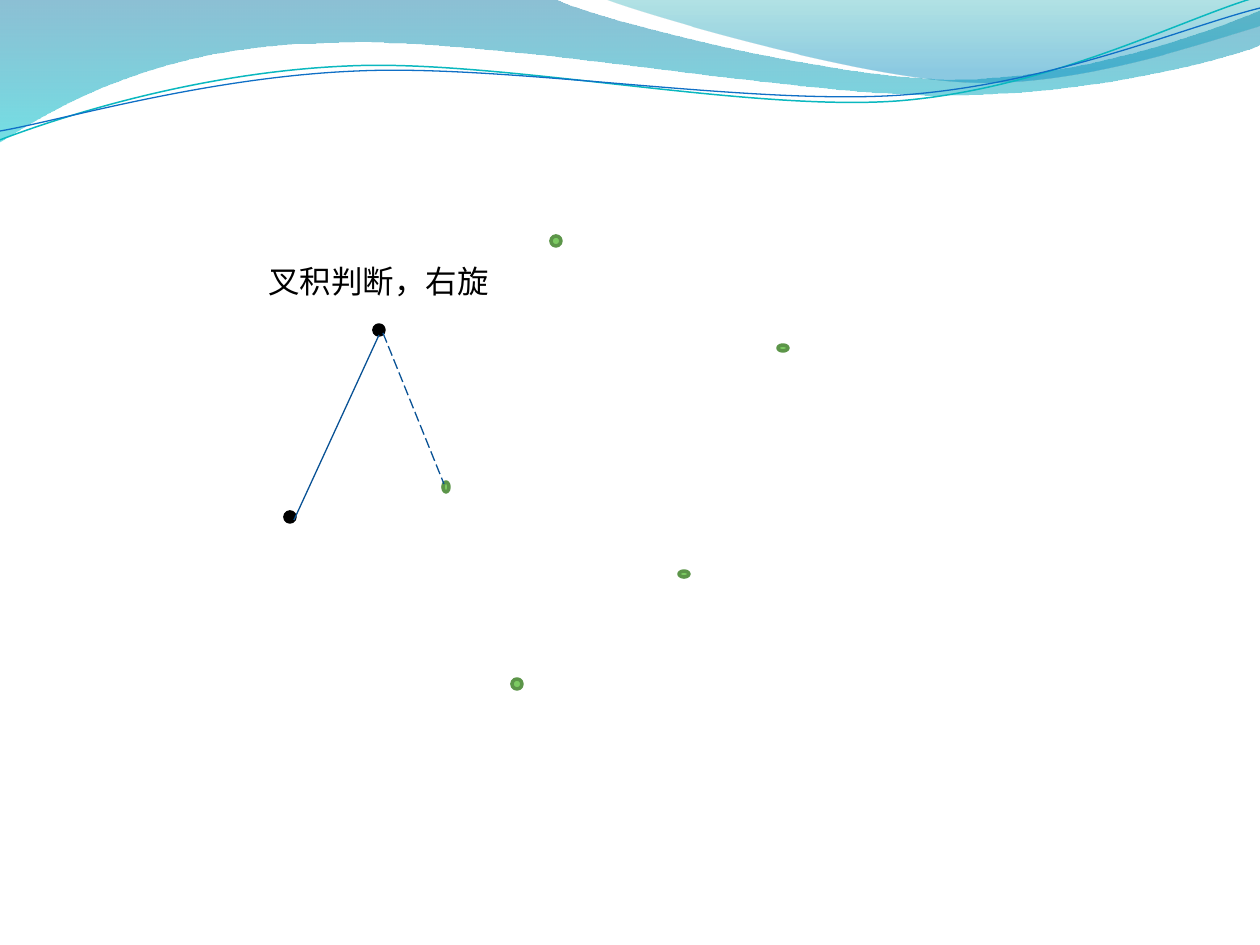
"""Build a slide on a convex hull step: points, two edges and a wave header."""
import math

import pptx
import pptx.dml.color
import pptx.enum.dml
import pptx.enum.shapes
import pptx.enum.text
import pptx.oxml.ns
import pptx.util
from lxml import etree

RGB = pptx.dml.color.RGBColor
SCALE = pptx.util.Inches(1) / 126
BLACK = RGB(0x00, 0x00, 0x00)
GREEN = RGB(0x7C, 0xCA, 0x62)
MOSS = RGB(0x5C, 0x95, 0x49)
NAVY = RGB(0x09, 0x52, 0x95)
BLUE = RGB(0x0F, 0x6F, 0xC6)
TEAL = RGB(0x0A, 0xB8, 0xBF)
STEEL = RGB(0x00, 0x74, 0xA1)
AQUA = RGB(0x00, 0xC6, 0xCF)
SEA = RGB(0x00, 0xA1, 0xA9)
SKY = RGB(0x00, 0x8B, 0xBF)

BANDS = [
    ((-1, -1),
     [[(554, -1)],
      [(600, 21), (837, 79), (955, 79)],
      [(1075, 79), (1207, 33), (1260, 11)],
      [(1261, 45)],
      [(1239, 55), (1096, 96), (940, 95)],
      [(784, 95), (481, 35), (324, 43)],
      [(163, 45), (58, 105), (-1, 142)]],
     [(0, STEEL, 45), (1, AQUA, 55)]),
    ((604, -1),
     [[(641, 14), (859, 78), (969, 82)],
      [(1079, 87), (1211, 40), (1260, 26)],
      [(1260, 0)]],
     [(0, SEA, 30), (0.8, SKY, 45)]),
]
WAVES = [
    ((0, 140),
     [[(60, 117), (199, 72), (349, 66)],
      [(498, 59), (747, 112), (898, 101)],
      [(1049, 89), (1182, 19), (1257, -3)]],
     (629, 72), TEAL, 0.85),
    ((0, 131),
     [[(59, 121), (207, 77), (357, 71)],
      [(508, 64), (752, 106), (903, 95)],
      [(1053, 84), (1187, 26), (1260, 8)]],
     (629, 74), BLUE, 0.75),
]
TILT = 2.7
DOTS = [
    (285, 512, 10, 10, BLACK, BLACK),
    (443, 482, 6, 10, GREEN, MOSS),
    (512, 679, 10, 10, GREEN, MOSS),
    (679, 571, 10, 6, GREEN, MOSS),
    (778, 345, 10, 6, GREEN, MOSS),
    (551, 236, 10, 10, GREEN, MOSS),
    (374, 325, 10, 10, BLACK, BLACK),
]


def emu(*nums):
    """Turn px lengths into EMU."""
    return [pptx.util.Emu(round(num * SCALE)) for num in nums]


def turn(spot, hub, angle):
    """Turn a point clockwise about a hub."""
    cos, sin = math.cos(math.radians(angle)), math.sin(math.radians(angle))
    x, y = spot[0] - hub[0], spot[1] - hub[1]
    return hub[0] + x * cos - y * sin, hub[1] + x * sin + y * cos


def draw(slide, start, parts, close):
    """Add a freeform whose three-point parts are cubic curves."""
    pen = slide.shapes.build_freeform(*emu(*start), scale=1.0)
    pen.add_line_segments([emu(*spot) for part in parts for spot in part], close=close)
    shape = pen.convert_to_shape()
    shape.shadow.inherit = False
    steps = iter(list(shape.element.spPr.iter(pptx.oxml.ns.qn("a:lnTo"))))
    for part in parts:
        group = [next(steps) for _ in part]
        if len(group) == 3:
            curve = etree.Element(pptx.oxml.ns.qn("a:cubicBezTo"))
            group[0].addprevious(curve)
            for step in group:
                curve.append(step[0])
                step.getparent().remove(step)
    return shape


def band(slide, start, parts, stops):
    """Add a closed band with a clear vertical gradient."""
    shape = draw(slide, start, parts, True)
    shape.line.fill.background()
    shape.fill.gradient()
    shape.fill.gradient_angle = 270
    marks = shape.element.spPr.iter(pptx.oxml.ns.qn("a:gs"))
    for stop, mark, (pos, tint, alpha) in zip(shape.fill.gradient_stops, marks, stops):
        stop.position = pos
        stop.color.rgb = tint
        etree.SubElement(mark[0], pptx.oxml.ns.qn("a:alpha"), val=str(alpha * 1000))


def wave(slide, start, parts, hub, tint, width):
    """Add an open, tilted wave line."""
    flat = [[turn(spot, hub, TILT) for spot in part] for part in parts]
    shape = draw(slide, turn(start, hub, TILT), flat, False)
    shape.rotation = 360 - TILT
    shape.fill.background()
    shape.line.color.rgb = tint
    shape.line.width = pptx.util.Pt(width)


def dot(slide, left, top, width, height, fill, rim):
    """Add one point of the set."""
    kind = pptx.enum.shapes.MSO_SHAPE.OVAL
    shape = slide.shapes.add_shape(kind, *emu(left, top, width, height))
    shape.shadow.inherit = False
    shape.fill.solid()
    shape.fill.fore_color.rgb = fill
    shape.line.color.rgb = rim
    shape.line.width = pptx.util.Pt(2)


def edge(slide, start, end, dash=None):
    """Add a straight edge between two points."""
    kind = pptx.enum.shapes.MSO_CONNECTOR.STRAIGHT
    line = slide.shapes.add_connector(kind, *emu(*start, *end))
    line.line.color.rgb = NAVY
    line.line.width = pptx.util.Pt(0.75)
    if dash:
        line.line.dash_style = dash
    etree.SubElement(line.element.spPr, pptx.oxml.ns.qn("a:effectLst"))


def label(slide, text, box):
    """Add an unwrapped line of text."""
    frame = slide.shapes.add_textbox(*emu(*box)).text_frame
    frame.word_wrap = False
    frame.auto_size = pptx.enum.text.MSO_AUTO_SIZE.SHAPE_TO_FIT_TEXT
    run = frame.paragraphs[0].add_run()
    run.text = text
    run.font.name = "Vollkorn"
    run.font.size = pptx.util.Pt(18)
    run.font.color.rgb = BLACK


def main():
    """Build and save the slide."""
    deck = pptx.Presentation()
    deck.slide_width, deck.slide_height = emu(1260, 945)
    slide = deck.slides.add_slide(deck.slide_layouts[6])
    for item in BANDS:
        band(slide, *item)
    for item in WAVES:
        wave(slide, *item)
    for item in DOTS:
        dot(slide, *item)
    edge(slide, (294, 520), (379, 335))
    edge(slide, (383, 333), (444, 484), pptx.enum.dml.MSO_LINE.LONG_DASH)
    label(slide, "叉积判断，右旋", (256, 256, 248, 50))
    deck.save("out.pptx")


if __name__ == "__main__":
    main()
